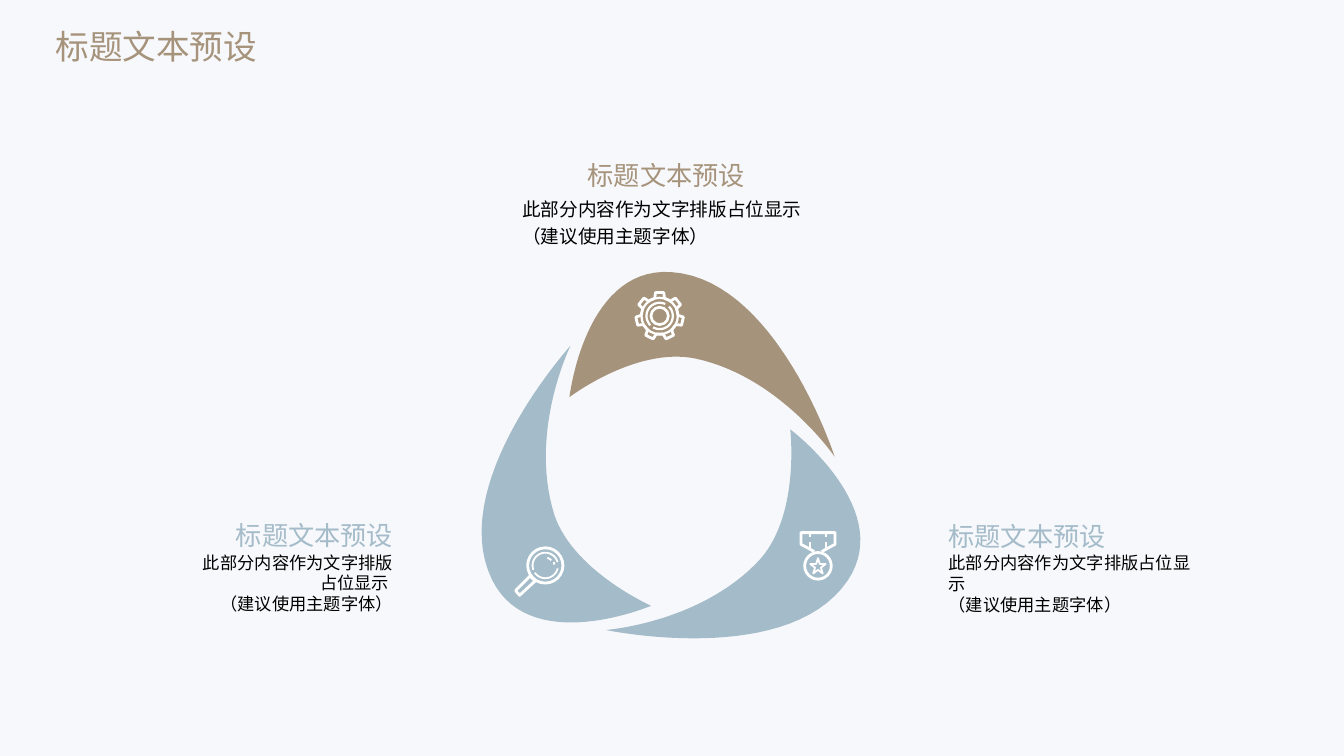
from dataclasses import dataclass
from math import cos, radians, sin

from pptx import Presentation
from pptx.dml.color import RGBColor
from pptx.enum import shapes, text
from pptx.util import Pt

Point = tuple[float, float]

TAN, BLUE, WHITE, BLACK, PAPER = "A6937B", "A4BBC9", "FFFFFF", "000000", "F7F8FB"
HEADING = "标题文本预设"
DETAIL = "此部分内容作为文字排版占位显示 \n（建议使用主题字体）"
LEFT, CENTER, RIGHT = text.PP_ALIGN.LEFT, text.PP_ALIGN.CENTER, text.PP_ALIGN.RIGHT
TOP, MIDDLE = text.MSO_ANCHOR.TOP, text.MSO_ANCHOR.MIDDLE


@dataclass
class Petal:
    """Tip, handle, bulge, handle, tip, handle, inner bulge, handle."""
    color: str
    outline: list[Point]


@dataclass
class Stroke:
    points: list[Point]
    width: float
    closed: bool = False


@dataclass
class Preset:
    """An outlined preset shape around a centre."""
    kind: shapes.MSO_SHAPE
    center: Point
    radius: float
    width: float


@dataclass
class Caption:
    left: float
    top: float
    width: float
    detail_height: float
    color: str
    heading_align: text.PP_ALIGN
    detail_align: text.PP_ALIGN
    anchor: text.MSO_ANCHOR
    detail_size: float
    line_spacing: float
    inset_left: float = 0
    inset_right: float = 0


def rgb(color: str) -> RGBColor:
    return RGBColor.from_string(color)


def polar(center: Point, radius: float, degrees: float) -> Point:
    angle = radians(degrees)
    return center[0] + radius * cos(angle), center[1] + radius * sin(angle)


def arc(center: Point, radius: float, start: float, end: float) -> list[Point]:
    return [polar(center, radius, start + (end - start) * i / 20) for i in range(21)]


def curve(a: Point, b: Point, c: Point, d: Point, steps: int = 30) -> list[Point]:
    """Sample a cubic Bézier curve, leaving out its end."""
    def blend(t: float, axis: int) -> float:
        s = 1 - t
        return (s**3 * a[axis] + 3 * s * s * t * b[axis]
                + 3 * s * t * t * c[axis] + t**3 * d[axis])
    return [(blend(i / steps, 0), blend(i / steps, 1)) for i in range(steps)]


def petal_points(petal: Petal) -> list[Point]:
    points = []
    for i in (0, 4):
        tip, into, bulge, out = petal.outline[i:i + 4]
        next_tip = petal.outline[(i + 4) % 8]
        points += curve(tip, tip, into, bulge) + curve(bulge, out, next_tip, next_tip)
    return points


def add_outline(slide, points: list[Point], closed: bool):
    emu_points = [(Pt(x), Pt(y)) for x, y in points]
    builder = slide.shapes.build_freeform(*emu_points[0], scale=1.0)
    builder.add_line_segments(emu_points[1:], close=closed)
    shape = builder.convert_to_shape()
    shape.shadow.inherit = False
    return shape


def style_line(shape, width: float) -> None:
    shape.shadow.inherit = False
    shape.fill.background()
    shape.line.color.rgb = rgb(WHITE)
    shape.line.width = Pt(width)


def draw_petal(slide, petal: Petal) -> None:
    shape = add_outline(slide, petal_points(petal), True)
    shape.fill.solid()
    shape.fill.fore_color.rgb = rgb(petal.color)
    shape.line.fill.background()


def draw_icon_part(slide, part: Stroke | Preset) -> None:
    if isinstance(part, Stroke):
        shape = add_outline(slide, part.points, part.closed)
    else:
        (x, y), r = part.center, part.radius
        shape = slide.shapes.add_shape(part.kind, Pt(x - r), Pt(y - r), Pt(2 * r), Pt(2 * r))
    style_line(shape, part.width)


def write(shape, words: str, size: float, color: str, align: text.PP_ALIGN,
          font: str = "Calibri", line_spacing: float = 1) -> None:
    paragraph = shape.text_frame.paragraphs[0]
    paragraph.text = words
    paragraph.alignment = align
    paragraph.line_spacing = line_spacing
    for run in paragraph.runs:
        run.font.size = Pt(size)
        run.font.name = font
        run.font.color.rgb = rgb(color)


def draw_caption(slide, caption: Caption) -> None:
    heading_height = 24.4
    rows = [
        (HEADING, caption.top, heading_height, 18.7, caption.color, caption.heading_align, 1),
        (DETAIL, caption.top + heading_height, caption.detail_height, caption.detail_size,
         BLACK, caption.detail_align, caption.line_spacing),
    ]
    for words, top, height, size, color, align, spacing in rows:
        box = slide.shapes.add_textbox(Pt(caption.left), Pt(top), Pt(caption.width), Pt(height))
        frame = box.text_frame
        frame.word_wrap = True
        frame.vertical_anchor = caption.anchor
        frame.margin_top = frame.margin_bottom = 0
        frame.margin_left, frame.margin_right = Pt(caption.inset_left), Pt(caption.inset_right)
        write(box, words, size, color, align, line_spacing=spacing)


def draw_title(slide) -> None:
    title = slide.shapes.title
    title.left, title.top, title.width, title.height = Pt(-3.6), Pt(15.1), Pt(194.4), Pt(51)
    title.text_frame.word_wrap = False
    title.text_frame.vertical_anchor = TOP
    write(title, HEADING, 24, TAN, RIGHT, "Noto Sans CJK SC")


PETALS = [
    Petal(BLUE, [(564.5, 306.7), (640.1, 363.6), (605.5, 414.7), (563, 477.4),
                 (432.7, 450), (501.1, 445), (542.9, 399.6), (571.7, 367.2)]),
    Petal(BLUE, [(465.1, 432.7), (378.7, 469.4), (351.4, 414), (318.2, 345.6),
                 (407.5, 247), (377.3, 308.2), (396, 367.9), (409.7, 408.2)]),
    Petal(TAN, [(406.8, 283.7), (417.6, 190.1), (479.5, 194.4), (555.1, 199.4),
                (596.2, 326.2), (557.3, 269.3), (497.5, 256.3), (455, 247)]),
]

OVAL, STAR = shapes.MSO_SHAPE.OVAL, shapes.MSO_SHAPE.STAR_5_POINT
LENS, GEAR, MEDAL = (389.5, 403.9), (471.2, 225.7), (584.3, 404.2)
TEETH = [polar(GEAR, radius, -90 + 360 / 7 * tooth + offset)
         for tooth in range(7)
         for offset, radius in ((-15, 13.2), (-10, 17), (10, 17), (15, 13.2))]

MAGNIFIER_ICON = [
    Preset(OVAL, LENS, 12.6, 2),
    Stroke([(368.3, 421.9), (371.2, 425.2), (382.3, 415), (378.7, 411.4)], 2, True),
    Stroke(arc(LENS, 9.1, 13, 145), 1.3),
    Stroke(arc(LENS, 9.1, 160, 345), 1.3),
    Stroke(arc(LENS, 5.6, -75, -40), 1.3),
    Stroke(arc(LENS, 6.5, -22, -5), 1.3),
]
GEAR_ICON = [
    Stroke(TEETH, 2, True),
    Preset(OVAL, GEAR, 13, 1.6),
    Preset(OVAL, GEAR, 6.2, 1.9),
    Stroke(arc(GEAR, 9.4, 135, 295), 1.6),
    Stroke(arc(GEAR, 9.4, -45, 120), 1.6),
]
MEDAL_ICON = [
    Preset(OVAL, MEDAL, 9.5, 2),
    Preset(STAR, MEDAL, 5.5, 1.3),
    Stroke([(581.6, 394), (572.1, 388.8), (572.1, 380.5), (596.5, 380.5),
            (596.5, 388.8), (587, 394)], 2),
] + [Stroke([(x, top), (x, bottom)], 1.6)
     for x in (578.4, 590.2) for top, bottom in ((381, 383.5), (387, 392))]

CAPTIONS = [
    Caption(373, 113.8, 205.9, 51.1, TAN, CENTER, LEFT, TOP, 13.3, 1.2),
    Caption(137.5, 370.1, 180.7, 43.9, BLUE, RIGHT, RIGHT, MIDDLE, 12.3, 1, inset_right=37.4),
    Caption(640.1, 370.4, 215.3, 43.9, BLUE, LEFT, LEFT, MIDDLE, 12.3, 1, inset_left=37.4),
]


def main() -> None:
    presentation = Presentation()
    presentation.slide_width, presentation.slide_height = Pt(960), Pt(540)
    slide = presentation.slides.add_slide(presentation.slide_layouts[5])
    slide.background.fill.solid()
    slide.background.fill.fore_color.rgb = rgb(PAPER)
    for petal in PETALS:
        draw_petal(slide, petal)
    for part in MAGNIFIER_ICON + GEAR_ICON + MEDAL_ICON:
        draw_icon_part(slide, part)
    for caption in CAPTIONS:
        draw_caption(slide, caption)
    draw_title(slide)
    presentation.save("out.pptx")


if __name__ == "__main__":
    main()
